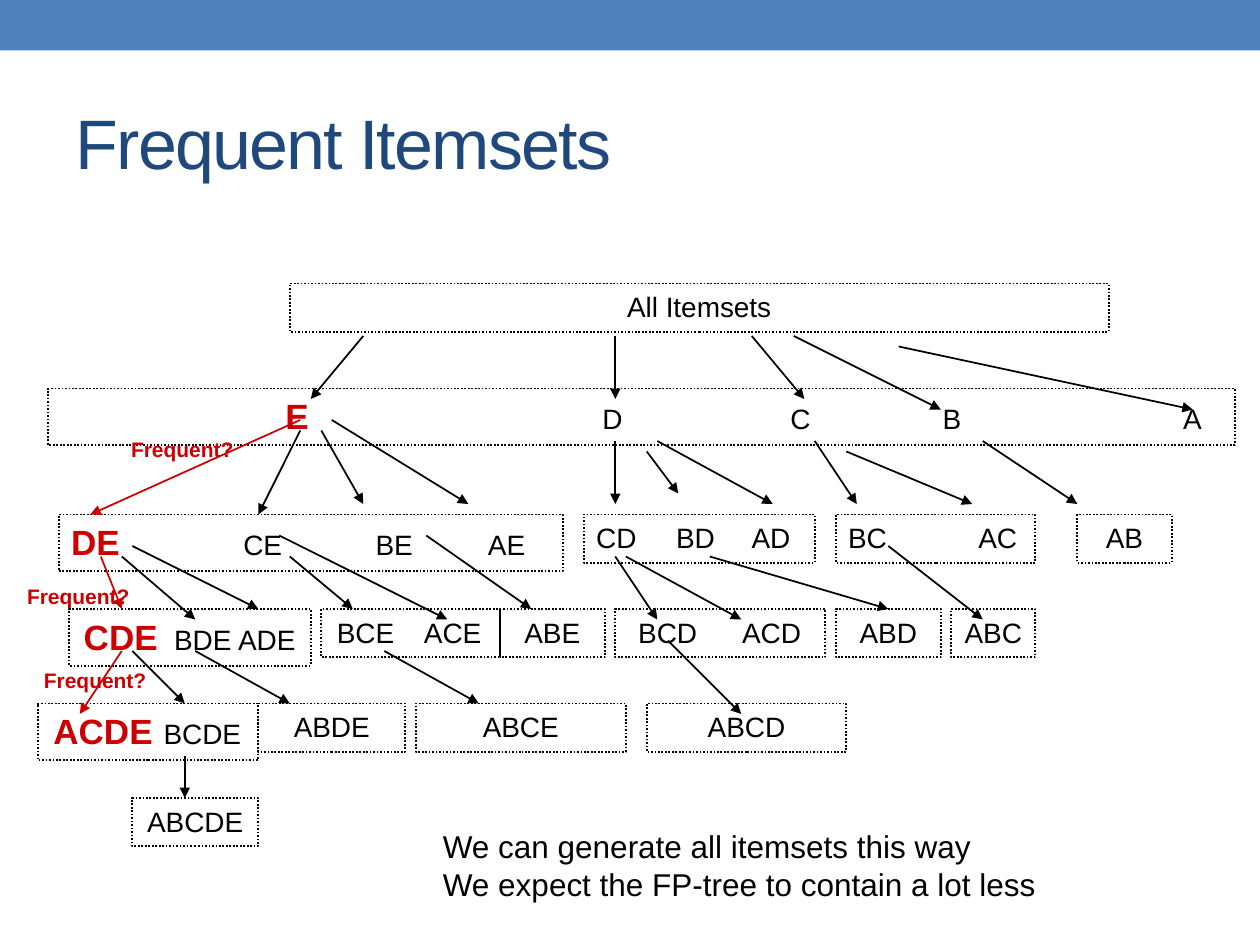
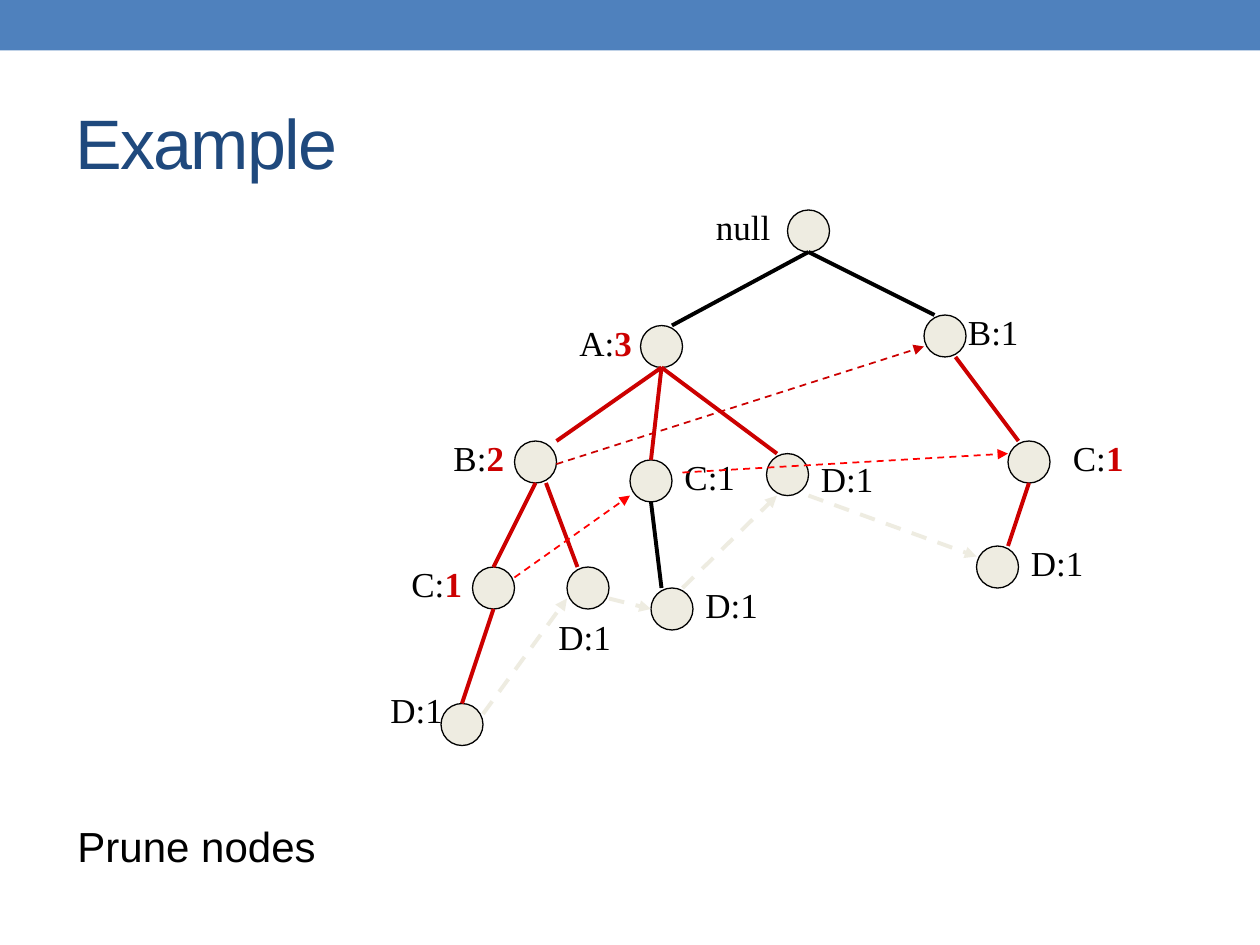
from dataclasses import dataclass

from lxml.etree import SubElement
from pptx import Presentation
from pptx.dml.color import RGBColor
from pptx.enum.dml import MSO_LINE
from pptx.enum.shapes import MSO_CONNECTOR as CONNECTOR, MSO_SHAPE as SHAPE
from pptx.enum.text import MSO_ANCHOR as ANCHOR, PP_ALIGN as ALIGN
from pptx.oxml.ns import qn
from pptx.util import Pt

PX = 7620
CELL = 10
TOP_SIDE = 0
SANS, SERIF = "Arial", "Times New Roman"
COLORS = {
    "band": "4F81BD",
    "title": "1F497D",
    "ink": "000000",
    "frequent": "CC0000",
    "link": "FF0000",
    "node": "EEECE1",
}

ROOT = "All Itemsets"
FREQUENT = {"E", "DE", "CDE", "ACDE"}
LEVEL_ROWS = [0, 10, 22, 31, 40, 49]


@dataclass
class Group:
    column: int
    columns: int
    tab_stops: dict


@dataclass
class Extension:
    tail_column: int
    tip_column: int
    tail_drop: int = 4
    tip_drop: int = 0


LEVELS = [
    [Group(22, 78, {ROOT: 0})],
    [Group(-1, 113, {"E": 214, "D": 516, "C": 695, "B": 840, "A": 1069})],
    [Group(0, 48, {"DE": 0, "CE": 164, "BE": 290, "AE": 397}),
     Group(50, 22, {"CD": 0, "BD": 76, "AD": 148}),
     Group(74, 19, {"BC": 0, "AC": 124}),
     Group(97, 9, {"AB": 0})],
    [Group(1, 23, {"CDE": 2, "BDE": 88, "ADE": 149}),
     Group(25, 17, {"BCE": 3, "ACE": 86}),
     Group(42, 10, {"ABE": 0}),
     Group(53, 20, {"BCD": 10, "ACD": 109}),
     Group(74, 10, {"ABD": 0}),
     Group(85, 8, {"ABC": 0})],
    [Group(-2, 21, {"ACDE": 3, "BCDE": 108}),
     Group(19, 14, {"ABDE": 0}),
     Group(34, 20, {"ABCE": 0}),
     Group(56, 19, {"ABCD": 0})],
    [Group(7, 12, {"ABCDE": 0})],
]
EXTENSIONS = {
    "E": Extension(29, 24, 5, 1),
    "D": Extension(53, 53, 5, 1),
    "C": Extension(66, 71, 5, 1),
    "B": Extension(70, 84, 5, 2),
    "A": Extension(80, 108, 6, 2),
    "DE": Extension(23, 3, 3),
    "CE": Extension(23, 19),
    "BE": Extension(25, 29, 4, -1),
    "AE": Extension(26, 39, 3, -1),
    "CD": Extension(53, 53, 5, -1),
    "BD": Extension(56, 59, 6, -2),
    "AD": Extension(57, 68, 5, -1),
    "BC": Extension(72, 76, 5, -1),
    "AC": Extension(75, 87, 6, -1),
    "AB": Extension(88, 97, 5, -1),
    "CDE": Extension(4, 6),
    "BDE": Extension(6, 13, 4, 1),
    "ADE": Extension(7, 19, 3),
    "BCE": Extension(22, 28),
    "ACE": Extension(21, 37, 2, 1),
    "ABE": Extension(35, 45, 2),
    "BCD": Extension(53, 57, 4, 1),
    "ACD": Extension(54, 65, 4, 1),
    "ABD": Extension(62, 79),
    "ABC": Extension(79, 88, 3, 1),
    "ACDE": Extension(6, 2, 4, 1),
    "BCDE": Extension(7, 12),
    "ABDE": Extension(13, 22),
    "ABCE": Extension(31, 40),
    "ABCD": Extension(58, 65, 3, 1),
    "ABCDE": Extension(12, 12, 5),
}
QUESTIONS = {"DE": (57, 4), "CDE": (-42, 6), "ACDE": (-26, 5)}

NODE_SIZE = 40
BESIDE_LEFT, BESIDE_RIGHT = (-70, -10), (40, -10)


@dataclass
class Node:
    left: int
    top: int
    label_offset: tuple
    count: int = 1
    pruned: bool = False
    tip_lean: int = 0
    tail_lean: int = 0


PREFIX_TREE = {
    "": Node(390, 0, (-80, -10)),
    "A": Node(250, 110, BESIDE_LEFT, 3, True, tip_lean=10),
    "B": Node(520, 100, (30, -10), tip_lean=-10),
    "AB": Node(130, 220, BESIDE_LEFT, 2, True, tip_lean=20),
    "AC": Node(240, 238, BESIDE_RIGHT),
    "AD": Node(370, 232, (40, -2), tip_lean=-10),
    "BC": Node(600, 220, (50, -10), 1, True, tip_lean=-10, tail_lean=10),
    "ABC": Node(90, 340, BESIDE_LEFT, 1, True),
    "ABD": Node(180, 340, (-20, 40), tip_lean=-10, tail_lean=10),
    "ACD": Node(260, 360, BESIDE_RIGHT, tip_lean=-10),
    "BCD": Node(570, 320, BESIDE_RIGHT, tip_lean=10),
    "ABCD": Node(60, 470, (-60, -20)),
}
UNCHANGED_BRANCHES = {"A", "B", "ACD"}


@dataclass
class Chain:
    prefixes: list
    tail_offsets: list
    tip_offsets: list
    color: str
    width: float


ITEM_CHAINS = [
    Chain(["AB", "B"], [(40, 22)], [(0, 30)], "frequent", 1),
    Chain(["ABC", "AC", "BC"], [(40, 10), (50, 12)], [(0, 34), (0, 12)], "link", 1),
    Chain(["ABCD", "ABD", "ACD", "AD", "BCD"],
          [(40, 10), (40, 30), (30, 0), (40, 40)],
          [(0, 30), (0, 20), (10, 40), (0, 10)], "node", 2.25),
]


def emu(*lengths):
    return [length * PX for length in lengths]


def shift(point, offset):
    return point[0] + offset[0], point[1] + offset[1]


def rgb(color):
    return RGBColor.from_string(COLORS[color])


def style(run, font, size, color="ink", bold=False):
    run.font.name = font
    run.font.size = Pt(size)
    run.font.bold = bold
    run.font.color.rgb = rgb(color)


def write(paragraph, text, font, size, color="ink", bold=False):
    run = paragraph.add_run()
    run.text = text
    style(run, font, size, color, bold)


def add_outline(slide, kind, box, line_width, fill=None):
    outline = slide.shapes.add_shape(kind, *emu(*box))
    outline.shadow.inherit = False
    if fill:
        outline.fill.solid()
        outline.fill.fore_color.rgb = rgb(fill)
    else:
        outline.fill.background()
    outline.line.color.rgb = rgb("ink")
    outline.line.width = Pt(line_width)
    return outline


def add_label(slide, box, wrap=True):
    frame = slide.shapes.add_textbox(*emu(*box)).text_frame
    frame.word_wrap = wrap
    return frame


def add_line(slide, tail, tip, color, width, arrow=False, dash=None):
    line = slide.shapes.add_connector(CONNECTOR.STRAIGHT, *emu(*tail, *tip))
    line.line.color.rgb = rgb(color)
    line.line.width = Pt(width)
    if dash:
        line.line.dash_style = dash
    if arrow:
        SubElement(line.line._get_or_add_ln(), qn("a:tailEnd"), type="triangle")
    SubElement(line.element.spPr, qn("a:effectLst"))
    return line


def add_band(prs, slide):
    band = slide.shapes.add_shape(SHAPE.RECTANGLE, *emu(0, 0, 1200, 48))
    band.shadow.inherit = False
    band.fill.solid()
    band.fill.fore_color.rgb = rgb("band")
    band.line.fill.background()
    prs.slide_master.shapes.element.insert(2, band.element)


def add_titled_slide(prs, heading):
    slide = prs.slides.add_slide(prs.slide_layouts[5])
    title = slide.shapes.title
    title.left, title.top, title.width, title.height = emu(60, 70, 1080, 130)
    title.text_frame.text = heading
    title.text_frame.vertical_anchor = ANCHOR.MIDDLE
    paragraph = title.text_frame.paragraphs[0]
    paragraph.alignment = ALIGN.LEFT
    run = paragraph.runs[0]
    style(run, SANS, 40, "title")
    run.font._element.set("spc", "-100")
    return slide


def add_group(slide, corner, group):
    height = 54 if FREQUENT & set(group.tab_stops) else 46
    box = add_outline(slide, SHAPE.RECTANGLE,
                      (*corner, group.columns * CELL, height), 1)
    box.line.dash_style = MSO_LINE.ROUND_DOT
    frame = box.text_frame
    frame.word_wrap = True
    frame.vertical_anchor = ANCHOR.TOP
    paragraph = frame.paragraphs[0]
    paragraph.alignment = ALIGN.CENTER if len(group.tab_stops) == 1 else ALIGN.LEFT
    stops = [stop for stop in group.tab_stops.values() if stop]
    if stops:
        tabs = SubElement(paragraph._p.get_or_add_pPr(), qn("a:tabLst"))
        for stop in stops:
            SubElement(tabs, qn("a:tab"), pos=str(stop * PX), algn="l")
    for itemset, stop in group.tab_stops.items():
        text = "\t" + itemset if stop else itemset
        if itemset in FREQUENT:
            write(paragraph, text, SANS, 20, "frequent", True)
        else:
            write(paragraph, text, SANS, 16)
    return box


def draw_itemset_lattice(slide, origin):
    def at(column, row):
        return shift(origin, (column * CELL, row * CELL))

    for level, groups in enumerate(LEVELS):
        row = LEVEL_ROWS[level]
        parent_row = LEVEL_ROWS[level - 1]
        for group in groups:
            box = add_group(slide, at(group.column, row), group)
            for itemset in group.tab_stops:
                if itemset == ROOT:
                    continue
                step = EXTENSIONS[itemset]
                color = "frequent" if itemset in QUESTIONS else "ink"
                arrow = add_line(slide,
                                 at(step.tail_column, parent_row + step.tail_drop),
                                 at(step.tip_column, row + step.tip_drop),
                                 color, 1, arrow=True)
                middle = group.column + group.columns / 2
                if step.tip_column == middle and step.tip_drop == 0:
                    arrow.end_connect(box, TOP_SIDE)

    for itemset, (left, drop) in QUESTIONS.items():
        parent_row = LEVEL_ROWS[len(itemset) - 1]
        corner = shift(origin, (left, (parent_row + drop) * CELL))
        question = add_label(slide, (*corner, 130, 36))
        write(question.paragraphs[0], "Frequent?", SANS, 12, "frequent", True)


def add_node(slide, origin, prefix, node):
    corner = shift(origin, (node.left, node.top))
    add_outline(slide, SHAPE.OVAL, (*corner, NODE_SIZE, NODE_SIZE), 0.75, "node")
    label = add_label(slide, (*shift(corner, node.label_offset), 80, 52)).paragraphs[0]
    if not prefix:
        write(label, "null", SERIF, 20)
    elif node.pruned:
        write(label, f"{prefix[-1]}:", SERIF, 20)
        write(label, str(node.count), SERIF, 20, "frequent", True)
    else:
        write(label, f"{prefix[-1]}:{node.count}", SERIF, 20)


def draw_prefix_tree(slide, origin):
    for prefix, node in PREFIX_TREE.items():
        add_node(slide, origin, prefix, node)

    for prefix, node in PREFIX_TREE.items():
        if prefix:
            parent = PREFIX_TREE[prefix[:-1]]
            middle = NODE_SIZE // 2
            tail = (parent.left + middle + node.tail_lean, parent.top + NODE_SIZE)
            tip = (node.left + middle + node.tip_lean, node.top)
            color = "ink" if prefix in UNCHANGED_BRANCHES else "frequent"
            add_line(slide, shift(origin, tail), shift(origin, tip), color, 2.25)

    for chain in ITEM_CHAINS:
        corners = [shift(origin, (PREFIX_TREE[prefix].left, PREFIX_TREE[prefix].top))
                   for prefix in chain.prefixes]
        for start, end, tail, tip in zip(corners, corners[1:],
                                         chain.tail_offsets, chain.tip_offsets):
            add_line(slide, shift(start, tail), shift(end, tip),
                     chain.color, chain.width, True, MSO_LINE.DASH)


def add_remark(slide, box, remark, size):
    frame = add_label(slide, box, wrap=False)
    frame.text = remark
    for paragraph in frame.paragraphs:
        style(paragraph.runs[0], SANS, size)


def main():
    prs = Presentation()
    prs.slide_width, prs.slide_height = emu(1200, 900)

    itemsets = add_titled_slide(prs, "Frequent Itemsets")
    add_band(prs, itemsets)
    draw_itemset_lattice(itemsets, (56, 270))
    add_remark(itemsets, (410, 782, 594, 85),
               "We can generate all itemsets this way\n"
               "We expect the FP-tree to contain a lot less", 18)

    example = add_titled_slide(prs, "Example")
    draw_prefix_tree(example, (360, 200))
    add_remark(example, (62, 776, 253, 60), "Prune nodes", 24)

    prs.save("out.pptx")


if __name__ == "__main__":
    main()
